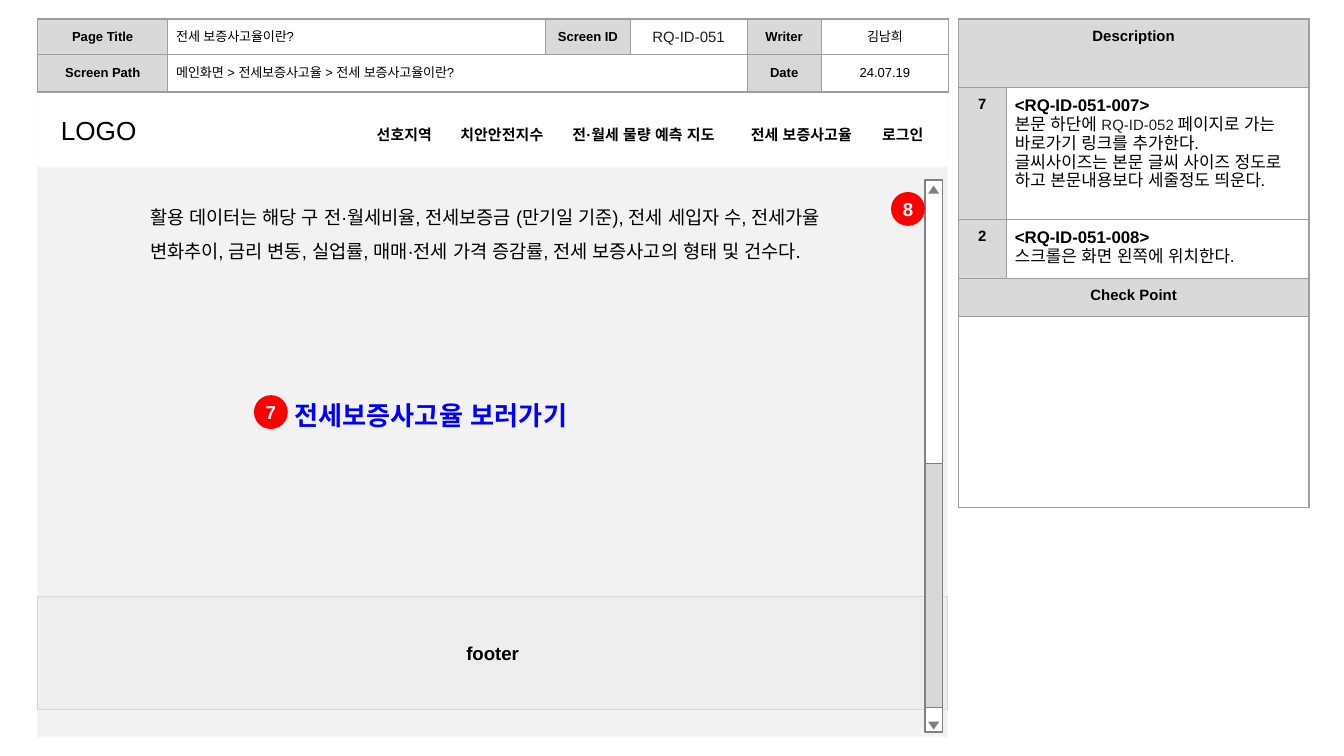
import pptx
import pptx.util
import pptx.dml.color
import pptx.enum.shapes
import pptx.enum.text
import pptx.oxml.ns
import lxml.etree

Cm, Pt = pptx.util.Cm, pptx.util.Pt
KIND = pptx.enum.shapes.MSO_SHAPE
ALIGN = pptx.enum.text.PP_ALIGN
ANCHOR = pptx.enum.text.MSO_ANCHOR
qn = pptx.oxml.ns.qn


class Theme:
    font = "Arial"
    black, white, ink = "000000", "FFFFFF", "1F1F1F"
    page, foot, head = "F2F2F2", "EEEEEE", "D9D9D9"
    pale, rail, grid = "D8D8D8", "808080", "9E9E9E"
    link, dot = "0000FF", "FF0000"
    tiny, small, note, text, big = 7, 8, 9, 10, 14
    line, pad, inset = 0.75, 0.16, 0.25


# A run is (text, size, bold, colour); the colour may be left out.
def label(text):
    return [[(text, Theme.tiny, True)]]


def plain(text):
    return [[(text, Theme.tiny, False)]]


def mark(text):
    return [[(text, Theme.small, True)]]


# A cell is (row, column, columns spanned, fill, centred, paragraphs).
INFO = {
    "at": (0.71, 0.36),
    "cols": [2.46, 7.14, 1.6, 2.21, 1.4, 2.41],
    "rows": [0.67, 0.71],
    "anchor": ANCHOR.MIDDLE,
    "cells": [
        (0, 0, 1, Theme.head, True, label("Page Title")),
        (0, 1, 1, None, False, plain("전세 보증사고율이란?")),
        (0, 2, 1, Theme.head, True, label("Screen ID")),
        (0, 3, 1, None, True, [[("RQ-ID-051", Theme.small, False, Theme.ink)]]),
        (0, 4, 1, Theme.head, True, label("Writer")),
        (0, 5, 1, None, True, plain("김남희")),
        (1, 0, 1, Theme.head, True, label("Screen Path")),
        (1, 1, 3, None, False, plain("메인화면 > 전세보증사고율 > 전세 보증사고율이란?")),
        (1, 4, 1, Theme.pale, True, label("Date")),
        (1, 5, 1, None, True, plain("24.07.19")),
    ],
}
NOTES = {
    "at": (18.11, 0.36),
    "cols": [0.91, 5.72],
    "rows": [1.3, 2.49, 1.12, 0.71, 3.61],
    "anchor": ANCHOR.TOP,
    "cells": [
        (0, 0, 2, Theme.head, True, mark("Description")),
        (1, 0, 1, Theme.head, True, mark("7")),
        (1, 1, 1, None, False, [
            [("<RQ-ID-051-007>", Theme.note, True)],
            [("본문 하단에 ", Theme.note, False),
             ("RQ-ID-052", Theme.small, False, Theme.ink),
             (" ", Theme.tiny, False),
             ("페이지로 가는 바로가기 링크를 추가한다.", Theme.note, False)],
            [("글씨사이즈는 본문 글씨 사이즈 정도로 하고 본문내용보다 세줄정도 띄운다.",
              Theme.note, False)]]),
        (2, 0, 1, Theme.head, True, mark("2")),
        (2, 1, 1, None, False, [
            [("<RQ-ID-051-008>", Theme.note, True)],
            [("스크롤은 화면 왼쪽에 위치한다.", Theme.note, False)]]),
        (3, 0, 2, Theme.head, True, mark("Check Point")),
        (4, 0, 2, Theme.white, False, []),
    ],
}
MENU = [("선호지역", 5.97), ("치안안전지수", 7.55), ("전·월세 물량 예측 지도", 9.67),
        ("전세 보증사고율", 13.04), ("로그인", 15.52)]  # text, tab stop
BODY = ("활용 데이터는 해당 구 전·월세비율, 전세보증금 (만기일 기준), 전세 세입자 수, "
        "전세가율 변화추이, 금리 변동, 실업률, 매매·전세 가격 증감률, "
        "전세 보증사고의 형태 및 건수다.")
LINK = "전세보증사고율 보러가기"
DOTS = [("7", 4.8, 7.47), ("8", 16.84, 3.63)]
LEFT, WIDE = 0.71, 17.2
RAIL, SLIM = 17.48, 0.33


def color(code):
    return pptx.dml.color.RGBColor.from_string(code)


def write(frame, paras, align=ALIGN.LEFT, space=None):
    frame.word_wrap = True
    for i, runs in enumerate(paras):
        para = frame.add_paragraph() if i else frame.paragraphs[0]
        para.alignment = align
        if space:
            para.line_spacing = space
        for text, size, bold, *tint in runs:
            run = para.add_run()
            run.text = text
            font = run.font
            font.name, font.size, font.bold = Theme.font, Pt(size), bold
            font.color.rgb = color(tint[0] if tint else Theme.black)
            east = lxml.etree.SubElement(font._element, qn("a:ea"))
            east.set("typeface", Theme.font)


def pad(box, size):
    box.margin_left = box.margin_right = Cm(size)
    box.margin_top = box.margin_bottom = Cm(size)


def shape(home, kind, at, fill, line=None):
    item = home.add_shape(kind, *map(Cm, at))
    item.shadow.inherit = False
    item.fill.solid()
    item.fill.fore_color.rgb = color(fill)
    if line:
        item.line.color.rgb = color(line)
        item.line.width = Pt(Theme.line)
    else:
        item.line.fill.background()
    item.text_frame.vertical_anchor = ANCHOR.MIDDLE
    pad(item.text_frame, Theme.inset)
    return item


def note(home, at, runs, space):
    frame = home.add_textbox(*map(Cm, at)).text_frame
    pad(frame, Theme.inset)
    write(frame, [runs], space=space)


def edge(cell):
    """Draw the four borders of a cell."""
    prop = cell._tc.get_or_add_tcPr()
    for side in ("lnL", "lnR", "lnT", "lnB"):
        line = lxml.etree.SubElement(prop, qn("a:" + side), w=str(Pt(Theme.line)))
        fill = lxml.etree.SubElement(line, qn("a:solidFill"))
        lxml.etree.SubElement(fill, qn("a:srgbClr"), val=Theme.grid)


def table(home, data):
    cols, rows = data["cols"], data["rows"]
    size = (*data["at"], sum(cols), sum(rows))
    grid = home.add_table(len(rows), len(cols), *map(Cm, size)).table
    grid.first_row = grid.horz_banding = False
    for col, wide in zip(grid.columns, cols):
        col.width = Cm(wide)
    for row, high in zip(grid.rows, rows):
        row.height = Cm(high)
    for cell in grid.iter_cells():
        edge(cell)
        cell.fill.background()
        pad(cell, Theme.pad)
        cell.vertical_anchor = data["anchor"]
    for row, col, span, fill, mid, paras in data["cells"]:
        cell = grid.cell(row, col)
        if span > 1:
            cell.merge(grid.cell(row, col + span - 1))
        if fill:
            cell.fill.solid()
            cell.fill.fore_color.rgb = color(fill)
        write(cell.text_frame, paras, ALIGN.CENTER if mid else ALIGN.LEFT)


def menu(home):
    bar = shape(home, KIND.RECTANGLE, (LEFT, 1.78, WIDE, 1.37), Theme.white)
    frame = bar.text_frame
    frame.margin_left = Cm(0.44)
    runs = [("LOGO", Theme.big, False)]
    runs += [("\t" + text, Theme.small, True) for text, stop in MENU]
    write(frame, [runs])
    tabs = lxml.etree.SubElement(
        frame.paragraphs[0]._p.get_or_add_pPr(), qn("a:tabLst"))
    for text, stop in MENU:
        lxml.etree.SubElement(tabs, qn("a:tab"), pos=str(Cm(stop)), algn="l")


def scroll(home):
    group = home.add_group_shape().shapes
    shape(group, KIND.RECTANGLE, (RAIL, 3.4, SLIM, 10.44), Theme.white, Theme.rail)
    for top, turn in ((13.64, 180), (3.51, 0)):
        tip = shape(group, KIND.ISOSCELES_TRIANGLE, (RAIL + 0.06, top, 0.21, 0.15),
                    Theme.rail)
        tip.rotation = turn
    shape(home, KIND.RECTANGLE, (RAIL, 8.76, SLIM, 4.62), Theme.pale, Theme.rail)


def main():
    deck = pptx.Presentation()
    deck.slide_width, deck.slide_height = Cm(25.4), Cm(14.29)
    home = deck.slides.add_slide(deck.slide_layouts[6]).shapes
    shape(home, KIND.RECTANGLE, (LEFT, 1.8, WIDE, 12.14), Theme.page)
    table(home, NOTES)
    table(home, INFO)
    note(home, (2.59, 3.43, 13.41, 2.67), [(BODY, Theme.text, False)], 1.5)
    note(home, (5.31, 7.21, 8.03, 1.27), [(LINK, Theme.big, True, Theme.link)], 1.15)
    foot = shape(home, KIND.RECTANGLE, (LEFT, 11.28, WIDE, 2.13), Theme.foot, Theme.pale)
    write(foot.text_frame, [[("footer", Theme.text, True)]], ALIGN.CENTER)
    menu(home)
    scroll(home)
    for text, left, top in DOTS:
        dot = shape(home, KIND.OVAL, (left, top, 0.64, 0.64), Theme.dot)
        pad(dot.text_frame, 0)
        write(dot.text_frame, [[(text, Theme.text, True, Theme.white)]], ALIGN.CENTER)
    deck.save("out.pptx")


if __name__ == "__main__":
    main()
